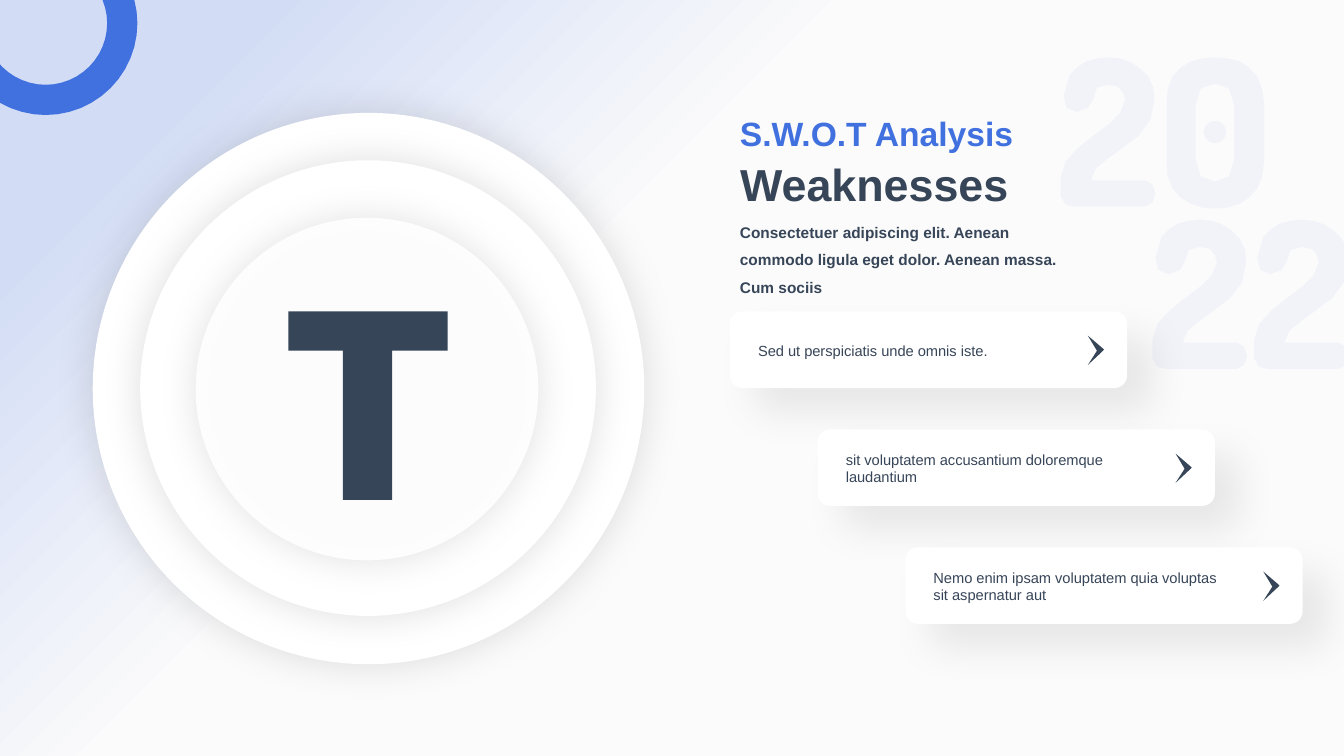
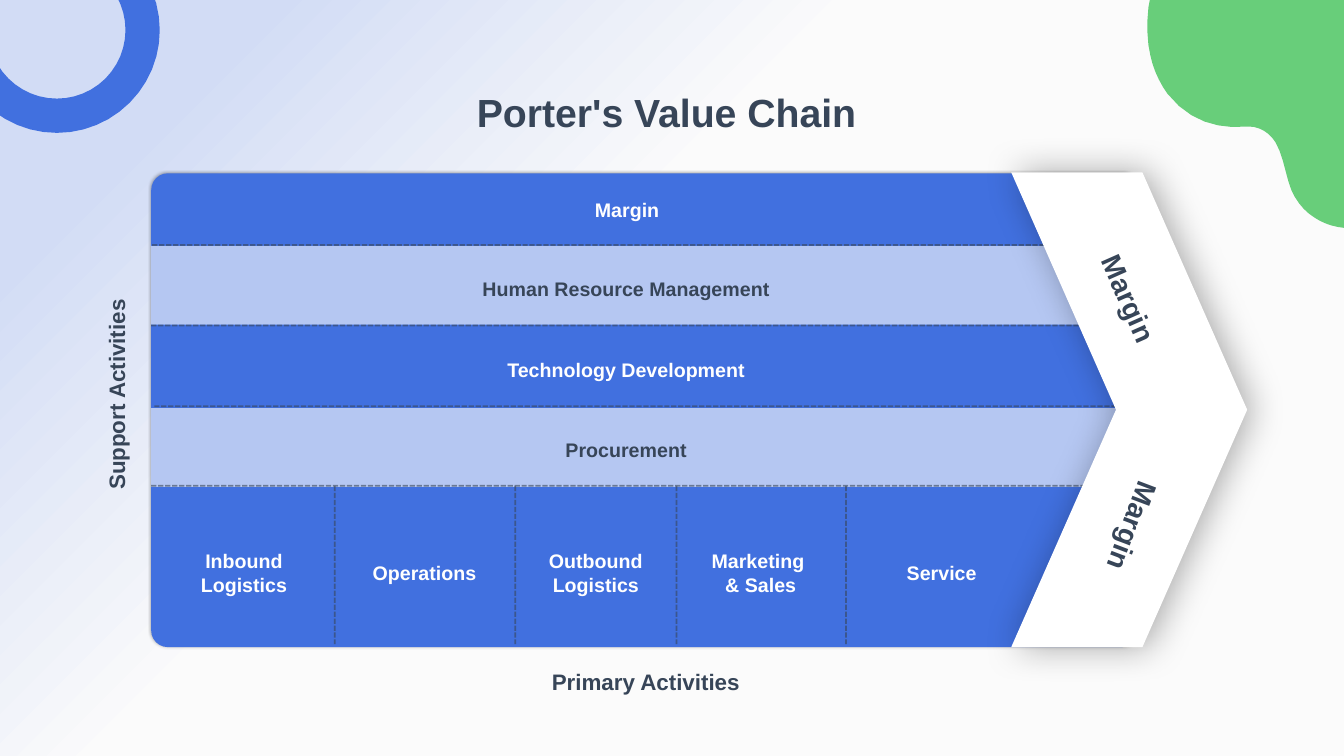
"""Build a SWOT weaknesses slide and a value chain slide."""
from math import cos, pi, sin

from lxml import etree
from pptx import Presentation
from pptx.dml.color import RGBColor
from pptx.enum.dml import MSO_LINE
from pptx.enum.shapes import MSO_CONNECTOR, MSO_SHAPE
from pptx.enum.text import MSO_ANCHOR, MSO_AUTO_SIZE, PP_ALIGN
from pptx.oxml.ns import qn
from pptx.util import Inches, Pt

LEFT, CENTER = PP_ALIGN.LEFT, PP_ALIGN.CENTER
TOP, MIDDLE, BOTTOM = MSO_ANCHOR.TOP, MSO_ANCHOR.MIDDLE, MSO_ANCHOR.BOTTOM
RECTANGLE, ROUNDED = MSO_SHAPE.RECTANGLE, MSO_SHAPE.ROUNDED_RECTANGLE
OVAL, CHEVRON = MSO_SHAPE.OVAL, MSO_SHAPE.CHEVRON
STRAIGHT, DASH, NO_FIT = MSO_CONNECTOR.STRAIGHT, MSO_LINE.SQUARE_DOT, MSO_AUTO_SIZE.NONE
TITLE_ONLY = 5

COLORS = {"blue": "4170DF", "navy": "374558", "white": "FFFFFF", "green": "68CE7A",
          "black": "000000", "paper": "FBFBFB", "haze": "D2DCF5"}
FONT = "Arial"

CIRCLE_SHADOW = (13, 28, 0, 57)
CARD_SHADOW = (7, 28, 25, 45)
CHAIN_SHADOW = (40, 2, 0, 0)
CHEVRON_SHADOW = (32, 26, 3, 0)

CIRCLES = [((0.92, 1.12, 5.47, 5.47), 100), ((1.39, 1.59, 4.52, 4.52), 100),
           ((1.94, 2.16, 3.4, 3.4), 91)]
LETTER_T = [(2.86, 3.09), (4.44, 3.09), (4.44, 3.48), (3.89, 3.48), (3.89, 4.96),
            (3.4, 4.96), (3.4, 3.48), (2.86, 3.48)]
CARDS = ["Sed ut perspiciatis unde omnis iste.",
         "sit voluptatem accusantium doloremque laudantium",
         "Nemo enim ipsam voluptatem quia voluptas sit aspernatur aut"]
CARD_ORIGIN, CARD_STEP, CARD_SIZE = (7.24, 3.09), (0.87, 1.17), (3.94, 0.76)
ARROW = [(0, 0), (0.14, 0.12), (0.16, 0.14), (0.14, 0.16), (0, 0.29), (0.09, 0.15)]

DIGIT_TWO = [
    (10.99, 0.57), (11.11, 0.58), (11.22, 0.62), (11.31, 0.68), (11.39, 0.76),
    (11.44, 0.87), (11.45, 0.99), (11.41, 1.19), (11.29, 1.35), (11.13, 1.47),
    (10.98, 1.58), (10.87, 1.67), (10.83, 1.76), (10.83, 1.79), (11.36, 1.79),
    (11.43, 1.83), (11.46, 1.92), (11.43, 2.01), (11.36, 2.05), (10.65, 2.05),
    (10.57, 2.03), (10.52, 1.95), (10.52, 1.76), (10.57, 1.6), (10.69, 1.47),
    (10.84, 1.35), (11, 1.23), (11.11, 1.12), (11.16, 0.99), (11.14, 0.92),
    (11.09, 0.86), (10.99, 0.84), (10.88, 0.87), (10.84, 0.99), (10.79, 1.07),
    (10.68, 1.11), (10.58, 1.07), (10.55, 0.95), (10.61, 0.74), (10.68, 0.67),
    (10.77, 0.61), (10.88, 0.58)]
TWO_OFFSETS = [(0, 0), (0.91, 1.61), (1.92, 1.61)]
ZERO_OUTER = [
    (12.05, 0.57), (12.18, 0.58), (12.3, 0.61), (12.39, 0.67), (12.47, 0.76),
    (12.52, 0.89), (12.54, 1.04), (12.54, 1.59), (12.52, 1.75), (12.47, 1.87),
    (12.39, 1.96), (12.3, 2.02), (12.18, 2.06), (12.05, 2.07), (11.92, 2.06),
    (11.81, 2.02), (11.71, 1.96), (11.63, 1.87), (11.58, 1.75), (11.57, 1.59),
    (11.57, 1.04), (11.58, 0.89), (11.63, 0.76), (11.71, 0.67), (11.81, 0.61),
    (11.92, 0.58)]
ZERO_INNER = [
    (12.05, 0.83), (11.91, 0.88), (11.86, 1.04), (11.86, 1.59), (11.91, 1.75),
    (12.05, 1.8), (12.19, 1.75), (12.24, 1.59), (12.24, 1.04), (12.19, 0.88)]
ZERO_DOT = (11.94, 1.2, 0.22, 0.22)
BLOB = [
    (11.41, -0.03), (11.37, 0.12, 11.37, 0.4, 11.41, 0.55),
    (11.44, 0.69, 11.5, 0.82, 11.58, 0.93), (11.76, 1.16, 11.99, 1.25, 12.22, 1.26),
    (12.29, 1.26, 12.37, 1.25, 12.44, 1.26), (12.53, 1.28, 12.6, 1.33, 12.65, 1.41),
    (12.73, 1.54, 12.75, 1.74, 12.81, 1.89), (12.86, 2, 12.94, 2.1, 13.04, 2.16),
    (13.13, 2.22, 13.23, 2.25, 13.33, 2.26), (13.33, -0.02)]

TINTED_BANDS = [(1.5, 2.44, 9.33, 0.78), (1.5, 4.05, 9.65, 0.78)]
SUPPORT = [("Margin", (4.23, 1.91, 3.98, 0.34), "white"),
           ("Human Resource Management", (3.95, 2.7, 4.52, 0.34), "navy"),
           ("Technology Development", (3.95, 3.5, 4.52, 0.34), "white"),
           ("Procurement", (3.95, 4.3, 4.52, 0.34), "navy")]
PRIMARY = [("Inbound Logistics", (1.71, 5.4, 1.42, 0.57)),
           ("Operations", (3.5, 5.52, 1.42, 0.34)),
           ("Outbound Logistics", (5.3, 5.4, 1.22, 0.57)),
           ("Marketing \n& Sales", (6.89, 5.4, 1.31, 0.57)),
           ("Service", (8.58, 5.52, 1.52, 0.34))]
ROW_LINES = [(1.51, 11.2, 2.43), (1.5, 11.23, 3.23), (1.53, 11.23, 4.03), (1.5, 11.25, 4.82)]
COLUMN_LINES = [3.32, 5.11, 6.71, 8.39]
CHAIN_LABELS = [("Support Activities", (0.1, 3.73, 2.11, 0.37), 16, 270),
                ("Margin", (10.37, 2.74, 1.65, 0.44), 20, 66.1),
                ("Margin", (10.41, 5, 1.65, 0.44), 20, 110.7),
                ("Primary Activities", (5.35, 6.58, 2.11, 0.37), 16, 0)]


def rgb(name):
    return RGBColor.from_string(COLORS[name])


def set_alpha(shape, percent):
    for color in shape._element.spPr.iter(qn("a:srgbClr")):
        etree.SubElement(color, qn("a:alpha"), val=str(percent * 1000))


def paint(shape, color, alpha=100, shadow=None):
    """Give a shape a flat fill, no outline and an optional outer shadow."""
    shape.fill.solid()
    shape.fill.fore_color.rgb = rgb(color)
    shape.line.fill.background()
    shape.shadow.inherit = False
    if alpha < 100:
        set_alpha(shape, alpha)
    if shadow:
        opacity, blur, distance, angle = shadow
        effects = shape._element.spPr.find(qn("a:effectLst"))
        outer = etree.SubElement(effects, qn("a:outerShdw"), blurRad=str(Pt(blur)),
                                 dist=str(Pt(distance)), dir=str(angle * 60000),
                                 algn="ctr", rotWithShape="0")
        tone = etree.SubElement(outer, qn("a:srgbClr"), val=COLORS["black"])
        etree.SubElement(tone, qn("a:alpha"), val=str(opacity * 1000))
    return shape


def add_preset(page, kind, at, color, alpha=100, shadow=None, adjustment=None):
    shape = page.shapes.add_shape(kind, *map(Inches, at))
    if adjustment is not None:
        shape.adjustments[0] = adjustment
    return paint(shape, color, alpha, shadow)


def trace(contour, steps=5):
    """Turn points and cubic curves into a list of points."""
    points = []
    for part in contour:
        if len(part) == 2:
            points.append(part)
            continue
        nodes = [points[-1], part[:2], part[2:4], part[4:]]
        for step in range(1, steps + 1):
            t = step / steps
            weights = ((1 - t) ** 3, 3 * t * (1 - t) ** 2, 3 * t * t * (1 - t), t ** 3)
            points.append(tuple(sum(w * node[axis] for w, node in zip(weights, nodes))
                                for axis in (0, 1)))
    return points


def add_outline(page, contours, color, alpha=100, offset=(0, 0)):
    builder = None
    for contour in contours:
        points = [(Inches(x + offset[0]), Inches(y + offset[1])) for x, y in trace(contour)]
        if builder is None:
            builder = page.shapes.build_freeform(*points[0])
        else:
            builder.move_to(*points[0])
        builder.add_line_segments(points[1:], close=True)
    return paint(builder.convert_to_shape(), color, alpha)


def add_half_ring(page, center, top, outer, inner, steps=24):
    angles = [pi * step / steps for step in range(steps + 1)]
    points = [(center + outer * cos(a), top + outer * sin(a)) for a in angles]
    points += [(center + inner * cos(a), top + inner * sin(a)) for a in reversed(angles)]
    add_outline(page, [points], "blue").rotation = 330


def write(box, words, at, size, color, bold=True, align=CENTER, anchor=TOP, spacing=1, turn=0):
    """Place a text box or title placeholder and format its words."""
    for name, value in zip(("left", "top", "width", "height"), at):
        setattr(box, name, Inches(value))
    box.rotation = turn
    frame = box.text_frame
    frame.text = words
    layout = {"word_wrap": True, "auto_size": NO_FIT, "vertical_anchor": anchor}
    for name, value in layout.items():
        setattr(frame, name, value)
    for para in frame.paragraphs:
        para.alignment = align
        para.line_spacing = spacing
        for span in para.runs:
            for name, value in {"name": FONT, "size": Pt(size), "bold": bold}.items():
                setattr(span.font, name, value)
            span.font.color.rgb = rgb(color)


def add_text(page, words, at, size, color, **options):
    write(page.shapes.add_textbox(0, 0, 0, 0), words, at, size, color, **options)


def add_dashes(page, x1, y1, x2, y2):
    line = page.shapes.add_connector(STRAIGHT, *map(Inches, (x1, y1, x2, y2)))
    line.line.color.rgb = rgb("navy")
    line.line.width = Pt(1.25)
    line.line.dash_style = DASH
    set_alpha(line, 60)
    etree.SubElement(line._element.spPr, qn("a:effectLst"))


def set_background(deck):
    fill = deck.slide_master.background.fill
    fill.gradient()
    fill.gradient_angle = 315
    for stop, position, color in zip(fill.gradient_stops, (0.13, 0.41), ("haze", "paper")):
        stop.position = position
        stop.color.rgb = rgb(color)


def build_weaknesses(page):
    for at, alpha in CIRCLES:
        add_preset(page, OVAL, at, "white", alpha, CIRCLE_SHADOW)
    add_half_ring(page, 0.68, 0.17, 0.91, 0.61)
    for offset in TWO_OFFSETS:
        add_outline(page, [DIGIT_TWO], "blue", 5, offset)
    add_outline(page, [ZERO_OUTER, ZERO_INNER], "blue", 5)
    add_preset(page, OVAL, ZERO_DOT, "blue", 5)
    add_text(page, "Consectetuer adipiscing elit. Aenean commodo ligula eget dolor. "
             "Aenean massa. Cum sociis", (7.24, 2.07, 3.56, 0.63), 11, "navy",
             align=LEFT, spacing=1.5)
    add_text(page, "S.W.O.T Analysis", (7.24, 0.91, 3.56, 0.66), 24, "blue",
             align=LEFT, anchor=BOTTOM, spacing=1.5)
    write(page.shapes.title, "Weaknesses", (7.24, 1.5, 3.62, 0.64), 32, "navy", align=LEFT)
    for index, words in enumerate(CARDS):
        left, top = (start + index * step for start, step in zip(CARD_ORIGIN, CARD_STEP))
        add_preset(page, ROUNDED, (left, top, *CARD_SIZE), "white", shadow=CARD_SHADOW)
        add_text(page, words, (left + 0.18, top + 0.15, 3.19, 0.47), 10.5, "navy",
                 bold=False, align=LEFT, anchor=MIDDLE)
        add_outline(page, [ARROW], "navy", offset=(left + 3.55, top + 0.24))
    add_outline(page, [LETTER_T], "navy")


def build_value_chain(page):
    write(page.shapes.title, "Porter's Value Chain ", (2.76, 0.83, 7.81, 0.57), 28, "navy")
    add_preset(page, ROUNDED, (1.5, 1.72, 9.79, 4.7), "blue",
               shadow=CHAIN_SHADOW, adjustment=0.035)
    for at in TINTED_BANDS:
        add_preset(page, RECTANGLE, at, "white", 61)
    for start, end, y in ROW_LINES:
        add_dashes(page, start, y, end, y)
    for x in COLUMN_LINES:
        add_dashes(page, x, 4.82, x, 6.39)
    for words, at, color in SUPPORT:
        add_text(page, words, at, 14, color)
    for words, at in PRIMARY:
        add_text(page, words, at, 14, "white")
    add_preset(page, CHEVRON, (10.03, 1.71, 2.34, 4.71), "white",
               shadow=CHEVRON_SHADOW, adjustment=0.444)
    for words, at, size, turn in CHAIN_LABELS:
        add_text(page, words, at, size, "navy", turn=turn)
    add_outline(page, [BLOB], "green")
    add_half_ring(page, 0.82, 0.23, 1.02, 0.68)


def main():
    deck = Presentation()
    deck.slide_width, deck.slide_height = Inches(13.33), Inches(7.5)
    set_background(deck)
    for build in (build_weaknesses, build_value_chain):
        build(deck.slides.add_slide(deck.slide_layouts[TITLE_ONLY]))
    deck.save("out.pptx")


if __name__ == "__main__":
    main()
